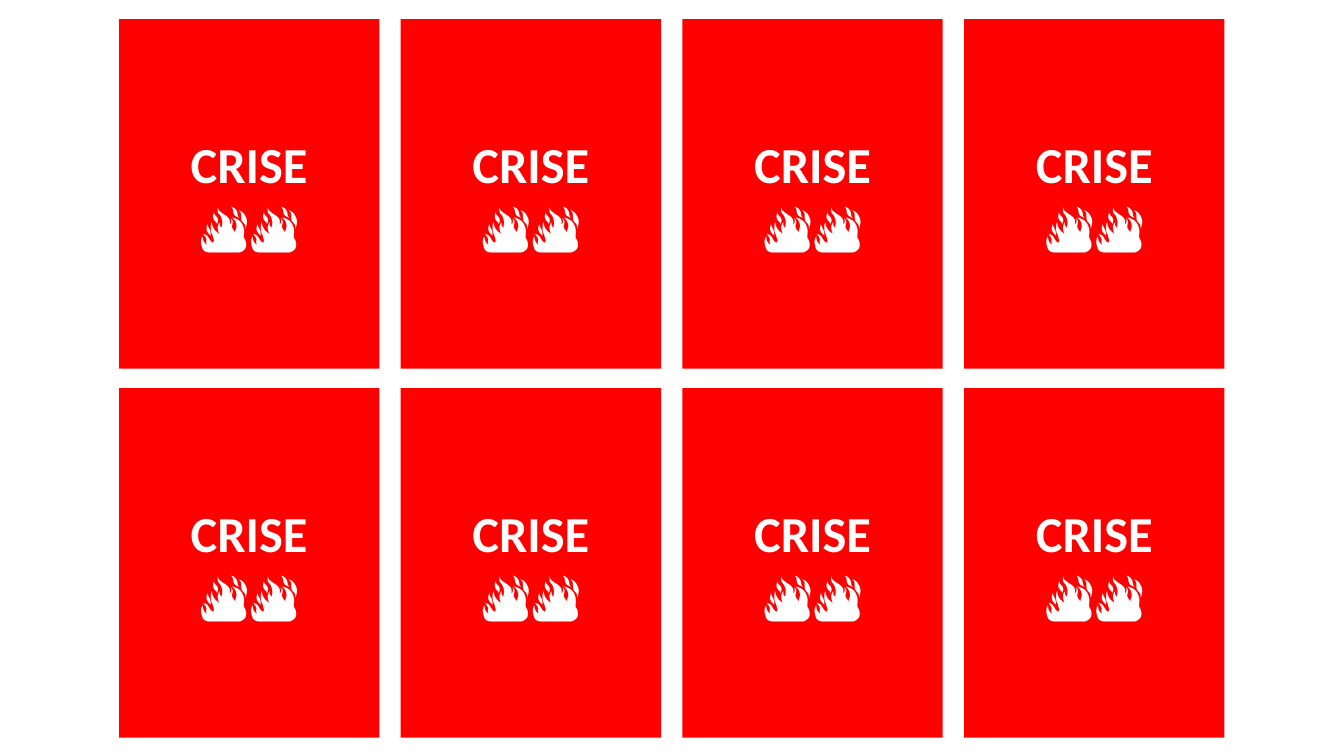
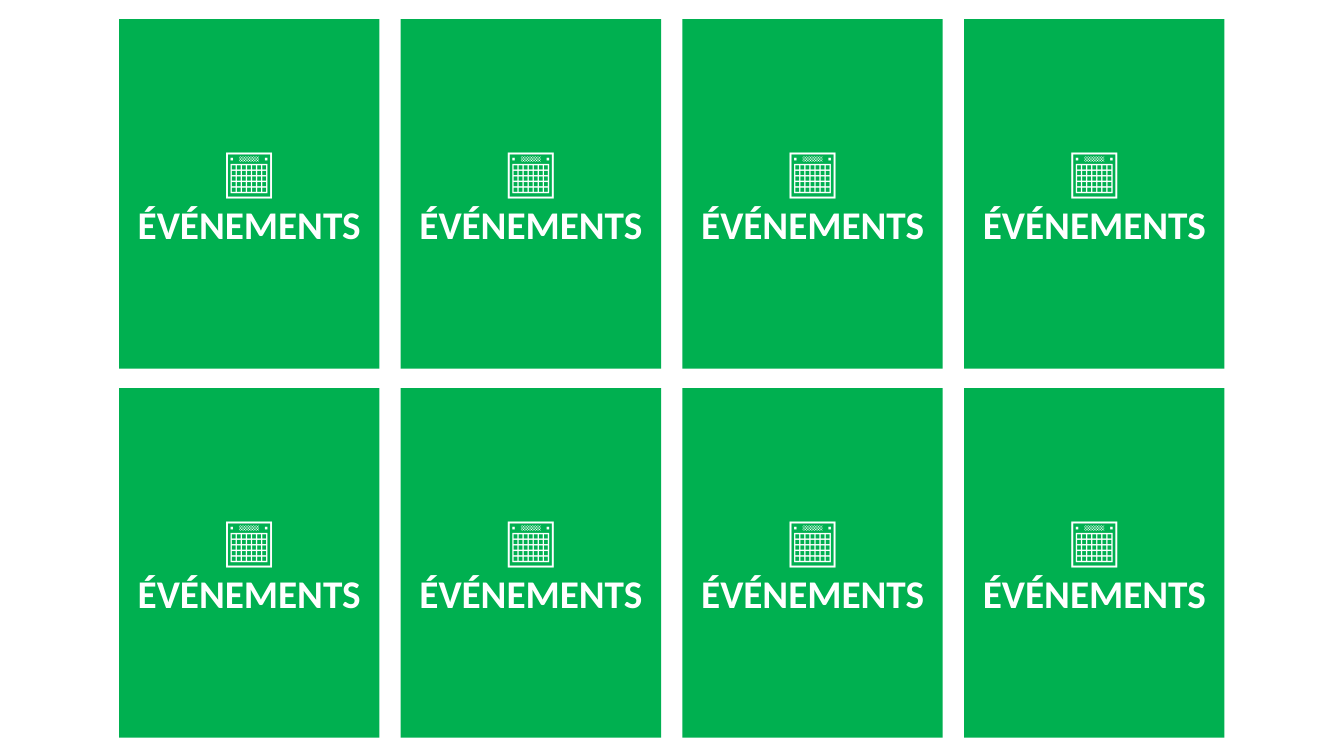
from itertools import product

from pptx import Presentation
from pptx.dml.color import RGBColor
from pptx.enum.shapes import MSO_SHAPE
from pptx.enum.text import MSO_ANCHOR, PP_ALIGN
from pptx.util import Cm, Pt

# Shared look and card grid (lengths in cm)
WHITE, RED, GREEN = "FFFFFF", "FF0000", "00B050"
COLS, ROWS = 4, 2
LEFT, TOP = 3.0, 0.48
WIDE, HIGH = 6.56, 8.81
STEP_X, STEP_Y = 7.1, 9.3
BASE = {"name": "Calibri", "size": Pt(36), "bold": True}

# Each deck: card colour, then paragraphs made of lines (text, format changes)
DECKS = [
    (RED, [[("CRISE", {})], [("🔥🔥", {})]]),
    (GREEN, [[("📅", {"bold": False}), ("ÉVÉNEMENTS", {"size": Pt(28)})]]),
]


def paint(item, tone):
    """Give a fill or a font a colour from a hex string."""
    if hasattr(item, "solid"):
        item.solid()
        item.fore_color.rgb = RGBColor.from_string(tone)
    else:
        item.color.rgb = RGBColor.from_string(tone)


def write(para, lines):
    """Write the lines of one centred paragraph, with breaks between them."""
    para.alignment = PP_ALIGN.CENTER
    for num, (text, style) in enumerate(lines):
        if num:
            para.add_line_break()
        run = para.add_run()
        run.text = text
        for key, value in {**BASE, **style}.items():
            setattr(run.font, key, value)
        paint(run.font, WHITE)


def add_card(slide, box, tone, paras):
    """Draw one card back in the given box."""
    card = slide.shapes.add_shape(MSO_SHAPE.RECTANGLE, *map(Cm, box))
    card.shadow.inherit = False
    paint(card.fill, tone)
    card.line.fill.background()
    frame = card.text_frame
    frame.word_wrap = True
    frame.vertical_anchor = MSO_ANCHOR.MIDDLE
    for num, lines in enumerate(paras):
        write(frame.add_paragraph() if num else frame.paragraphs[0], lines)


def add_sheet(deck, tone, paras):
    """Add one slide filled with a grid of equal cards."""
    slide = deck.slides.add_slide(deck.slide_layouts[6])
    for col, row in product(range(COLS), range(ROWS)):
        box = (LEFT + col * STEP_X, TOP + row * STEP_Y, WIDE, HIGH)
        add_card(slide, box, tone, paras)


def main():
    deck = Presentation()
    deck.slide_width, deck.slide_height = Cm(33.87), Cm(19.05)
    for tone, paras in DECKS:
        add_sheet(deck, tone, paras)
    deck.save("out.pptx")


if __name__ == "__main__":
    main()
